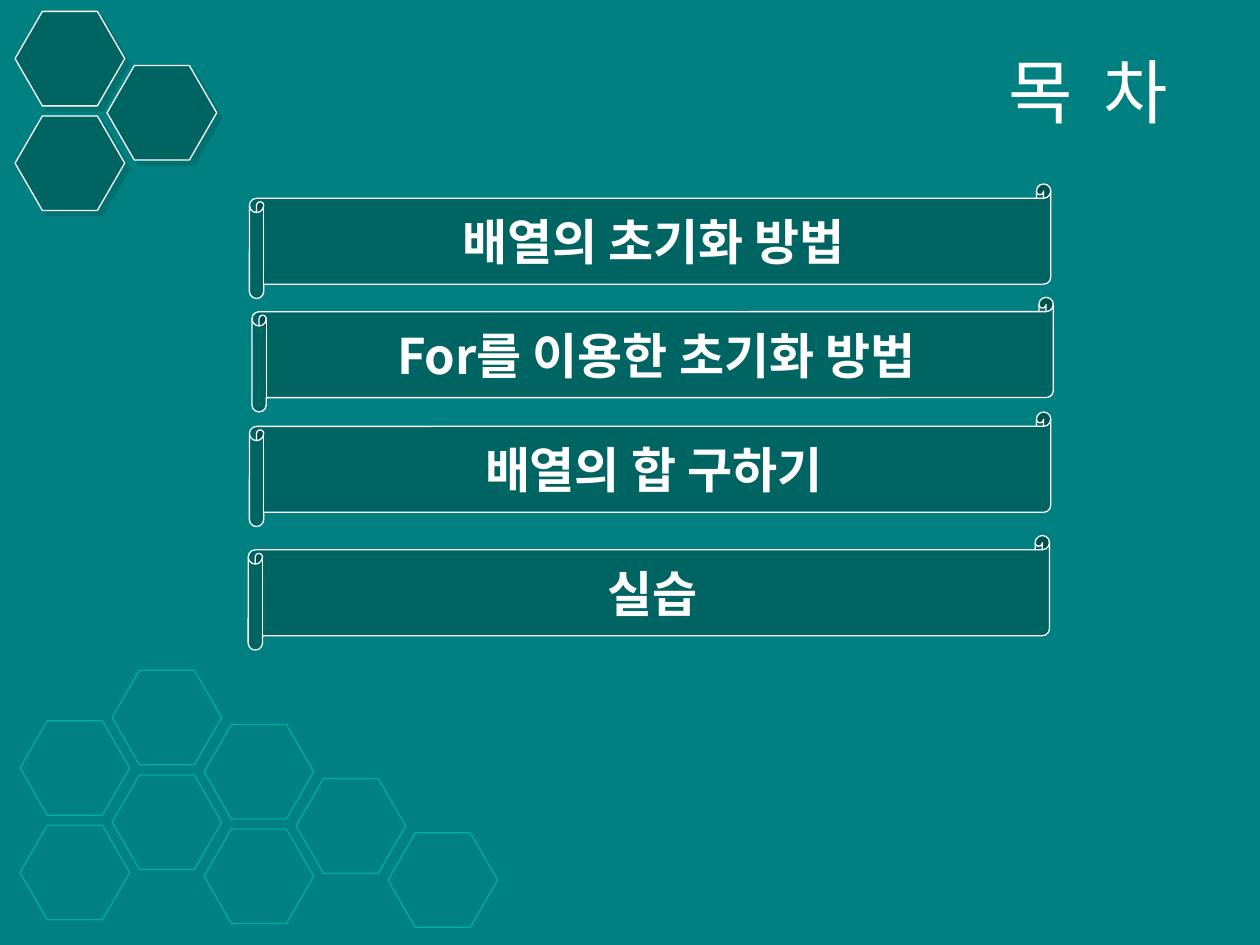
from dataclasses import dataclass

from lxml import etree
from pptx import Presentation
from pptx import util as u
from pptx.dml.color import RGBColor
from pptx.enum import shapes, text
from pptx.oxml import ns

COLORS = {"ground": "008080", "panel": "006462", "outline": "00ACA8", "light": "FFFFFF"}
LATIN, KOREAN = "Arial", "Noto Sans CJK KR"
HEX_W, HEX_H = 0.87, 0.75
COLUMN_STEP, COLUMN_DROP, ROW_STEP = 0.73, 0.43, 0.83
SCROLL_W, SCROLL_H = 6.36, 0.91


@dataclass(frozen=True)
class Honeycomb:
    left: float
    top: float
    cells: tuple[tuple[int, int], ...]  # (column, row)
    line: str
    solid: bool


@dataclass(frozen=True)
class Topic:
    label: str
    left: float
    top: float


HONEYCOMBS = (
    Honeycomb(0.16, 5.72, ((2, 0), (2, -1), (3, -1), (4, -1), (1, 0), (1, -1), (0, 0), (0, 1)),
              "outline", False),
    Honeycomb(0.12, 0.09, ((0, 1), (0, 0), (1, 0)), "light", True),
)
TOPICS = (
    Topic("배열의 초기화 방법", 1.98, 1.46),
    Topic("For를 이용한 초기화 방법", 2.0, 2.36),
    Topic("배열의 합 구하기", 1.98, 3.27),
    Topic("실습", 1.97, 4.25),
)


def rgb(name: str) -> RGBColor:
    return RGBColor.from_string(COLORS[name])


def add_panel(slide, kind, left: float, top: float, width: float, height: float,
              line: str, solid: bool = True):
    panel = slide.shapes.add_shape(kind, *map(u.Inches, (left, top, width, height)))
    panel.shadow.inherit = False
    if solid:
        panel.fill.solid()
        panel.fill.fore_color.rgb = rgb("panel")
    else:
        panel.fill.background()
    panel.line.color.rgb = rgb(line)
    panel.line.width = u.Pt(0.75)
    return panel


def cast_shadow(panel) -> None:
    effects = panel._element.spPr.find(ns.qn("a:effectLst"))
    shadow = etree.SubElement(effects, ns.qn("a:outerShdw"), blurRad="0",
                              dist=str(u.Pt(4.2)), dir=str(45 * 60000),
                              algn="ctr", rotWithShape="0")
    color = etree.SubElement(shadow, ns.qn("a:srgbClr"), val=COLORS["panel"])
    etree.SubElement(color, ns.qn("a:alpha"), val="50000")


def draw_honeycomb(slide, comb: Honeycomb) -> None:
    for column, row in comb.cells:
        cell = add_panel(slide, shapes.MSO_SHAPE.HEXAGON,
                         comb.left + column * COLUMN_STEP,
                         comb.top + column * COLUMN_DROP + row * ROW_STEP,
                         HEX_W, HEX_H, comb.line, comb.solid)
        cell.adjustments[0] = 0.289
        cell.adjustments[1] = 1.155
        if comb.solid:
            cast_shadow(cell)


def write(holder, words: str, size: int, latin: str, align, bold: bool = False) -> None:
    frame = holder.text_frame
    frame.word_wrap = True
    frame.vertical_anchor = text.MSO_ANCHOR.MIDDLE
    frame.text = words
    paragraph = frame.paragraphs[0]
    paragraph.alignment = align
    font = paragraph.runs[0].font
    font.size, font.bold, font.name = u.Pt(size), bold, latin
    font.color.rgb = rgb("light")
    east_asian = etree.Element(ns.qn("a:ea"), typeface=KOREAN)
    font._element.find(ns.qn("a:latin")).addnext(east_asian)


def draw_topic(slide, topic: Topic) -> None:
    scroll = add_panel(slide, shapes.MSO_SHAPE.HORIZONTAL_SCROLL, topic.left, topic.top,
                       SCROLL_W, SCROLL_H, "light")
    write(scroll, topic.label, 28, KOREAN, text.PP_ALIGN.CENTER, bold=True)


deck = Presentation()
deck.slide_width, deck.slide_height = u.Inches(10), u.Inches(7.5)
contents = deck.slides.add_slide(deck.slide_layouts[6])
contents.background.fill.solid()
contents.background.fill.fore_color.rgb = rgb("ground")

# Honeycomb decoration
for honeycomb in HONEYCOMBS:
    draw_honeycomb(contents, honeycomb)

# Heading
heading = contents.shapes.add_textbox(*map(u.Inches, (1.85, 0.28, 7.52, 0.87)))
write(heading, "목  차", 40, LATIN, text.PP_ALIGN.RIGHT)

# Topics on scrolls
for entry in TOPICS:
    draw_topic(contents, entry)

deck.save("out.pptx")
